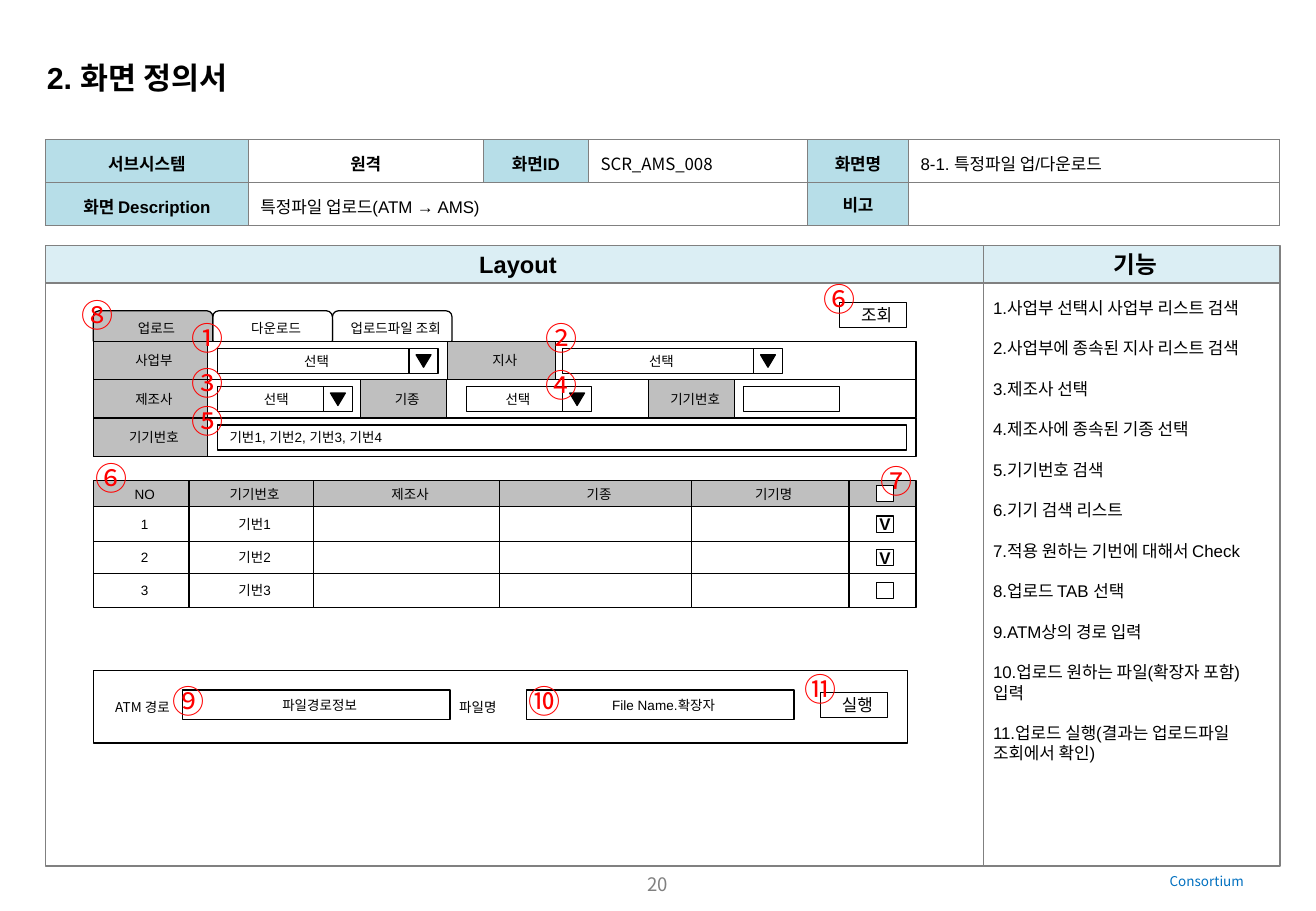
from lxml import etree
from pptx import Presentation
from pptx.dml.color import RGBColor
from pptx.enum.shapes import MSO_SHAPE
from pptx.enum.text import MSO_ANCHOR, PP_ALIGN
from pptx.oxml.ns import qn
from pptx.util import Cm, Pt

RECTANGLE = MSO_SHAPE.RECTANGLE
ROUNDED = MSO_SHAPE.ROUNDED_RECTANGLE
TRIANGLE = MSO_SHAPE.FLOWCHART_MERGE
LEFT, CENTER = PP_ALIGN.LEFT, PP_ALIGN.CENTER
TOP, MIDDLE = MSO_ANCHOR.TOP, MSO_ANCHOR.MIDDLE

COLORS = {
    "black": "000000", "white": "FFFFFF", "gray": "BFBFBF", "border": "808080",
    "label": "B7DEE8", "heading": "DBEEF4", "badge": "FF0000", "footer": "0070C0",
}
SANS, KOREAN = "Arial", "Noto Sans CJK KR"
BOX_INSETS = (0.25, 0.05, 0.1, 0.05)
TEXT_INSETS = (0.25, 0.13, 0.25, 0.13)
ROW_HEIGHT, FIELD_HEIGHT, FIELD_OFFSET = 0.8, 0.52, 0.15
LABEL_WIDTH = 2.39
BUTTON_SIZE = (1.4, 0.53)


def rgb(name):
    return RGBColor.from_string(COLORS[name])


def format_paragraph(paragraph, size, bold=False, color="black", font=SANS, align=LEFT):
    paragraph.alignment = align
    paragraph.font.size = Pt(size)
    paragraph.font.bold = bold
    paragraph.font.color.rgb = rgb(color)
    paragraph.font.name = font
    properties = paragraph._p.pPr.find(qn("a:defRPr"))
    etree.SubElement(properties, qn("a:ea")).set("typeface", KOREAN)


def set_frame(frame, insets, anchor):
    frame.word_wrap = True
    frame.vertical_anchor = anchor
    (frame.margin_left, frame.margin_top,
     frame.margin_right, frame.margin_bottom) = map(Cm, insets)


def add_text(slide, left, top, width, height, text, size, **style):
    shape = slide.shapes.add_textbox(Cm(left), Cm(top), Cm(width), Cm(height))
    set_frame(shape.text_frame, TEXT_INSETS, TOP)
    paragraph = shape.text_frame.paragraphs[0]
    paragraph.text = text
    format_paragraph(paragraph, size, **style)


def add_box(slide, left, top, width, height, text="", fill="white", line="black",
            size=8, bold=False, align=CENTER, kind=RECTANGLE, insets=BOX_INSETS):
    shape = slide.shapes.add_shape(kind, Cm(left), Cm(top), Cm(width), Cm(height))
    shape.shadow.inherit = False
    shape.fill.solid()
    shape.fill.fore_color.rgb = rgb(fill)
    shape.line.color.rgb = rgb(line)
    shape.line.width = Pt(0.75)
    if text:
        set_frame(shape.text_frame, insets, MIDDLE)
        paragraph = shape.text_frame.paragraphs[0]
        paragraph.text = text
        format_paragraph(paragraph, size, bold, align=align)
    return shape


def add_badges(slide, left, top, badges):
    for number, x, y in badges:
        add_text(slide, left + x, top + y, 1.2, 1.07, number, 19,
                 color="badge", font=KOREAN)


def add_dropdown(slide, left, top, width, arrow_left):
    add_box(slide, left, top, width, FIELD_HEIGHT, "선택")
    add_box(slide, arrow_left, top, 0.61, FIELD_HEIGHT)
    add_box(slide, arrow_left + 0.15, top + 0.13, 0.31, 0.26, fill="black", kind=TRIANGLE)


def format_cell(cell, text, is_label, align, font):
    cell.fill.solid()
    cell.fill.fore_color.rgb = rgb("label" if is_label else "white")
    cell.vertical_anchor = MIDDLE
    paragraph = cell.text_frame.paragraphs[0]
    paragraph.text = text
    paragraph.line_spacing = 1.0 if text == "비고" else 1.2
    format_paragraph(paragraph, 10, align == CENTER, font=font, align=align)
    if not text:
        etree.SubElement(paragraph._p, qn("a:endParaRPr")).set("sz", "1000")
    properties = cell._tc.get_or_add_tcPr()
    for index, side in enumerate(("lnL", "lnR", "lnT", "lnB")):
        border = etree.Element(qn("a:" + side), w=str(Pt(0.75)))
        solid = etree.SubElement(border, qn("a:solidFill"))
        etree.SubElement(solid, qn("a:srgbClr")).set("val", COLORS["border"])
        properties.insert(index, border)


def add_summary_table(slide, left, top):
    widths = (4.24, 4.91, 2.2, 4.58, 2.11, 7.76)
    rows = (
        ("서브시스템", "원격", "화면ID", "SCR_AMS_008", "화면명", "8-1. 특정파일 업/다운로드"),
        ("화면 Description", "특정파일 업로드(ATM → AMS)", "", "", "비고", ""),
    )
    table = slide.shapes.add_table(2, 6, Cm(left), Cm(top), Cm(sum(widths)), Cm(1.8)).table
    table.first_row = table.horz_banding = False
    for column, width in zip(table.columns, widths):
        column.width = Cm(width)
    for row_index, texts in enumerate(rows):
        table.rows[row_index].height = Cm(0.9)
        for column_index, text in enumerate(texts):
            is_label = column_index % 2 == 0 and text != ""
            align = CENTER if is_label or text == "원격" else LEFT
            font = KOREAN if text == "SCR_AMS_008" else SANS
            format_cell(table.cell(row_index, column_index), text, is_label, align, font)
    table.cell(1, 1).merge(table.cell(1, 3))


def add_panel(slide, left, top, width, heading):
    body = add_box(slide, left, top + 0.79, width, 12.19, line="border")
    add_box(slide, left, top, width, 0.79, heading, "heading", "border", 14, True)
    return body


def add_function_panel(slide, left, top, width):
    items = (
        "사업부 선택시 사업부 리스트 검색", "사업부에 종속된 지사 리스트 검색", "제조사 선택",
        "제조사에 종속된 기종 선택", "기기번호 검색", "기기 검색 리스트",
        "적용 원하는 기번에 대해서 Check", "업로드 TAB 선택", "ATM상의 경로 입력",
        "업로드 원하는 파일(확장자 포함) 입력", "업로드 실행(결과는 업로드파일 조회에서 확인)",
    )
    frame = add_panel(slide, left, top, width, "기능").text_frame
    set_frame(frame, (0.2, 0.3, 0.2, 0.2), TOP)
    for number, item in enumerate(items, 1):
        paragraph = frame.paragraphs[0] if number == 1 else frame.add_paragraph()
        paragraph.text = f"{number}.{item}"
        if number > 1:
            paragraph.space_before = Pt(12)
        format_paragraph(paragraph, 10)


def add_search_form(slide, left, top):
    # Tabs, the leftmost in front
    tabs = (("업로드", "gray"), ("다운로드", "white"), ("업로드파일 조회", "white"))
    for index, (text, fill) in reversed(list(enumerate(tabs))):
        add_box(slide, left + index * 2.5, top, 2.5, 0.74, text, fill, kind=ROUNDED)
    add_box(slide, left + 15.6, top - 0.18, *BUTTON_SIZE, "조회", size=10)

    # Rows: labels (text, x, width), dropdowns (x, width, arrow x), fields (x, width, text)
    rows = (
        ((("사업부", 0, LABEL_WIDTH), ("지사", 7.4, 2.26)),
         ((2.6, 3.99, 6.6), (9.81, 3.99, 13.8)), ()),
        ((("제조사", 0, LABEL_WIDTH), ("기종", 5.59, 1.8), ("기기번호", 11.61, 1.8)),
         ((2.6, 2.31, 4.81), (7.8, 2.01, 9.81)), ((13.59, 2.01, ""),)),
        ((("기기번호", 0, LABEL_WIDTH),), (), ((2.6, 14.4, "기번1, 기번2, 기번3, 기번4"),)),
    )
    for index, (labels, dropdowns, fields) in enumerate(rows):
        row_top = top + 0.64 + index * ROW_HEIGHT
        field_top = row_top + FIELD_OFFSET
        add_box(slide, left, row_top, 17.2, ROW_HEIGHT)
        for text, x, width in labels:
            add_box(slide, left + x, row_top, width, ROW_HEIGHT, text, "gray")
        for x, width, arrow_x in dropdowns:
            add_dropdown(slide, left + x, field_top, width, left + arrow_x)
        for x, width, text in fields:
            add_box(slide, left + x, field_top, width, FIELD_HEIGHT, text, align=LEFT)

    add_badges(slide, left, top, (
        ("①", 1.81, 0.03), ("②", 9.2, 0.03), ("③", 1.81, 0.97), ("④", 9.2, 1.02),
        ("⑤", 1.81, 1.76), ("⑥", 15.02, -0.78), ("⑧", -0.5, -0.45)))


def add_device_list(slide, left, top):
    widths = (2, 2.6, 3.9, 4, 3.3, 1.4)
    rows = (
        (0.55, ("NO", "기기번호", "제조사", "기종", "기기명", ""), ""),
        (0.72, ("1", "기번1", "", "", "", ""), "V"),
        (0.67, ("2", "기번2", "", "", "", ""), "V"),
        (0.72, ("3", "기번3", "", "", "", ""), ""),
    )
    row_top = top
    for index, (height, texts, mark) in enumerate(rows):
        fill = "white" if index else "gray"
        for column, (text, width) in enumerate(zip(texts, widths)):
            add_box(slide, left + sum(widths[:column]), row_top, width, height, text, fill)
        add_box(slide, left + sum(widths[:-1]) + 0.57, row_top + (height - 0.34) / 2,
                0.36, 0.34, mark, size=10, bold=True, insets=(0, 0.05, 0, 0.05))
        row_top += height
    add_badges(slide, left, top, (("⑥", -0.2, -0.6), ("⑦", 16.21, -0.52)))


def add_run_form(slide, left, top):
    add_box(slide, left, top, 17.02, 1.52)
    for label, label_x, text, x in (("ATM 경로", 0.21, "파일경로정보", 1.86),
                                    ("파일명", 7.4, "File Name.확장자", 9.05)):
        add_box(slide, left + x, top + 0.41, 5.6, 0.61, text)
        add_text(slide, left + label_x, top + 0.46, 1.8, 0.61, label, 8, font=KOREAN)
    add_box(slide, left + 15.2, top + 0.46, *BUTTON_SIZE, "실행", size=10)
    add_badges(slide, left, top, (("⑨", 1.4, 0.1), ("⑩", 8.85, 0.1), ("⑪", 14.61, -0.15)))


def add_footer(slide, top):
    add_text(slide, 10.06, top, 7.39, 0.81, "20", 11, color="border", font=KOREAN, align=CENTER)
    add_text(slide, 24.2, top, 2.6, 0.61, "Consortium", 8, color="footer", font=KOREAN)


def main():
    presentation = Presentation()
    presentation.slide_width, presentation.slide_height = Cm(27.51), Cm(19.05)
    slide = presentation.slides.add_slide(presentation.slide_layouts[6])
    add_text(slide, 0.73, 1.1, 5.44, 1.02, "2. 화면 정의서", 18, bold=True)
    add_summary_table(slide, 0.95, 2.92)
    add_panel(slide, 0.95, 5.13, 19.61, "Layout")
    add_function_panel(slide, 20.56, 5.13, 6.2)
    add_search_form(slide, 1.95, 6.5)
    add_device_list(slide, 1.95, 10.05)
    add_run_form(slide, 1.95, 14.02)
    add_footer(slide, 18.12)
    presentation.save("out.pptx")


if __name__ == "__main__":
    main()
